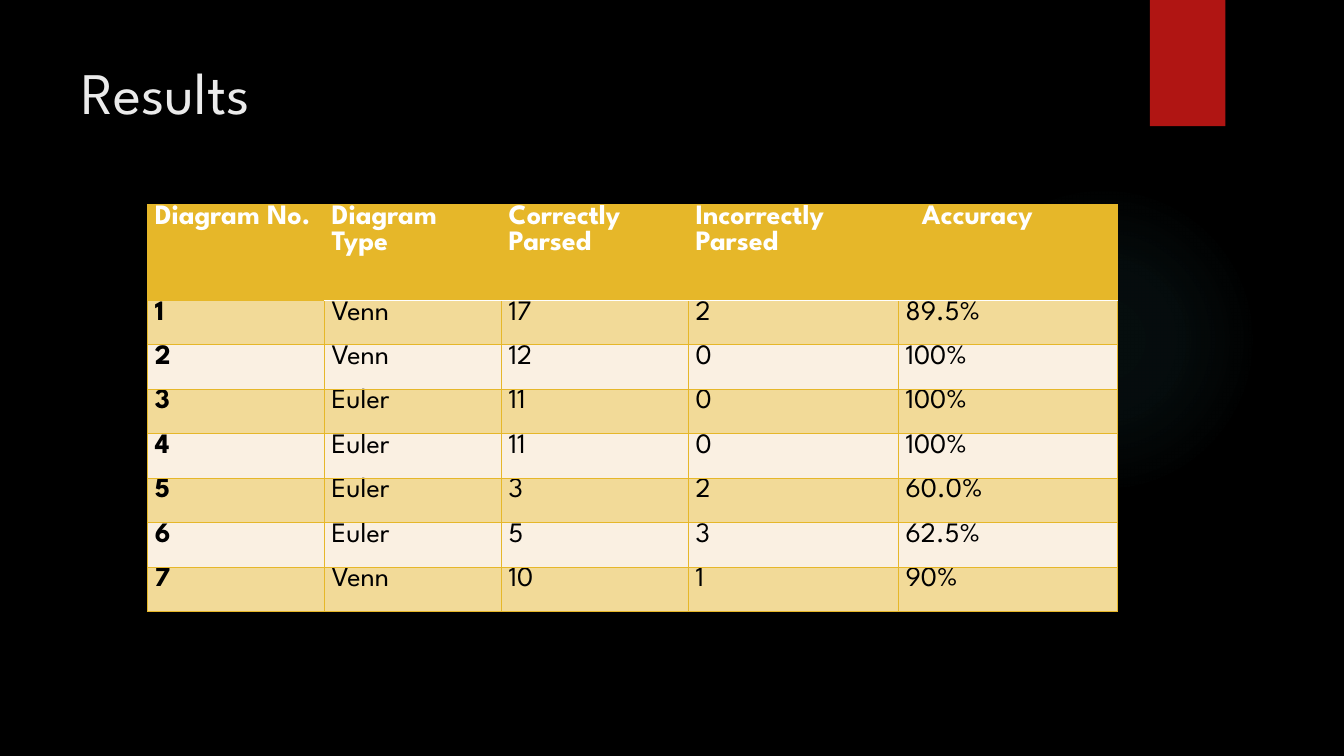
from dataclasses import dataclass

from lxml import etree
from pptx import Presentation
from pptx.dml.color import RGBColor
from pptx.enum.shapes import MSO_SHAPE
from pptx.enum.text import MSO_ANCHOR, PP_ALIGN
from pptx.oxml.ns import qn
from pptx.util import Cm, Pt

RECTANGLE, OVAL = MSO_SHAPE.RECTANGLE, MSO_SHAPE.OVAL
TOP = MSO_ANCHOR.TOP
JUSTIFY = PP_ALIGN.JUSTIFY

FONT = "League Spartan"
COLORS = {
    "background": "000000",
    "title": "EBEBEB",
    "tab": "B01513",
    "glow": "50B9C1",
    "gold": "E6B729",
    "band": "F2DA98",
    "plain": "FAF0E2",
    "white": "FFFFFF",
    "black": "000000",
}
GLOW_STOPS = ((0, 7), (36, 6), (69, 0))  # position and opacity in percent


@dataclass(frozen=True)
class Box:
    left: float
    top: float
    width: float
    height: float

    def lengths(self) -> tuple:
        return Cm(self.left), Cm(self.top), Cm(self.width), Cm(self.height)


@dataclass(frozen=True)
class DiagramResult:
    number: int
    kind: str
    correct: int
    incorrect: int
    accuracy: str

    def texts(self) -> list[str]:
        return [str(self.number), self.kind, str(self.correct),
                str(self.incorrect), self.accuracy]


@dataclass(frozen=True)
class CellStyle:
    fill: str
    text: str
    bold: bool
    top: str = "gold"
    bottom: str = "gold"


GLOW_BOX = Box(23.9, 4.65, 7.82, 7.82)
TAB_BOX = Box(28.98, 0, 1.9, 3.18)
TITLE_BOX = Box(1.8, 1.27, 26.14, 3.89)
TABLE_BOX = Box(3.71, 5.16, 24.46, 10.25)

COLUMN_WIDTHS = (4.46, 4.46, 4.71, 5.29, 5.54)
HEADER_HEIGHT, ROW_HEIGHT = 2.41, 1.12
HEADERS = ["Diagram No.", "Diagram Type", "Correctly Parsed",
           "Incorrectly Parsed", "Accuracy"]
RESULTS = (
    DiagramResult(1, "Venn", 17, 2, "89.5%"),
    DiagramResult(2, "Venn", 12, 0, "100%"),
    DiagramResult(3, "Euler", 11, 0, "100%"),
    DiagramResult(4, "Euler", 11, 0, "100%"),
    DiagramResult(5, "Euler", 3, 2, "60.0%"),
    DiagramResult(6, "Euler", 5, 3, "62.5%"),
    DiagramResult(7, "Venn", 10, 1, "90%"),
)


def color(name: str) -> RGBColor:
    return RGBColor.from_string(COLORS[name])


def add_solid_fill(parent, name: str) -> None:
    fill = etree.SubElement(parent, qn("a:solidFill"))
    etree.SubElement(fill, qn("a:srgbClr"), val=COLORS[name])


def format_text(paragraph, size: float, name: str, bold: bool = False) -> None:
    for run in paragraph.runs:
        run.font.name = FONT
        run.font.size = Pt(size)
        run.font.bold = bold
        run.font.color.rgb = color(name)


def add_plain_shape(slide, kind, box: Box, name: str):
    shape = slide.shapes.add_shape(kind, *box.lengths())
    shape.shadow.inherit = False
    shape.fill.solid()
    shape.fill.fore_color.rgb = color(name)
    shape.line.fill.background()
    return shape


def add_glow(slide) -> None:
    shape = add_plain_shape(slide, OVAL, GLOW_BOX, "glow")
    solid = shape._element.spPr.find(qn("a:solidFill"))
    gradient = etree.Element(qn("a:gradFill"), rotWithShape="1")
    stops = etree.SubElement(gradient, qn("a:gsLst"))
    for position, opacity in GLOW_STOPS:
        stop = etree.SubElement(stops, qn("a:gs"), pos=str(position * 1000))
        stop_color = etree.SubElement(stop, qn("a:srgbClr"), val=COLORS["glow"])
        etree.SubElement(stop_color, qn("a:alpha"), val=str(opacity * 1000))
    circle = etree.SubElement(gradient, qn("a:path"), path="circle")
    etree.SubElement(circle, qn("a:fillToRect"),
                     l="50000", t="50000", r="50000", b="50000")
    solid.getparent().replace(solid, gradient)


def add_title(slide, text: str) -> None:
    text_frame = slide.shapes.add_textbox(*TITLE_BOX.lengths()).text_frame
    text_frame.word_wrap = True
    text_frame.vertical_anchor = TOP
    text_frame.text = text
    paragraph = text_frame.paragraphs[0]
    paragraph.space_before = Pt(10)
    format_text(paragraph, 42, "title")


def set_borders(cell, style: CellStyle) -> None:
    properties = cell._tc.get_or_add_tcPr()
    sides = {"a:lnL": "gold", "a:lnR": "gold",
             "a:lnT": style.top, "a:lnB": style.bottom}
    for tag, name in sides.items():
        width = Pt(1.5 if name == "white" else 0.75)
        add_solid_fill(etree.SubElement(properties, qn(tag), w=str(width)), name)


def fill_cell(cell, text: str, style: CellStyle) -> None:
    set_borders(cell, style)
    cell.fill.solid()
    cell.fill.fore_color.rgb = color(style.fill)
    cell.margin_left = cell.margin_right = Cm(0.19)
    cell.margin_top = cell.margin_bottom = 0
    cell.vertical_anchor = TOP
    cell.text_frame.text = text
    paragraph = cell.text_frame.paragraphs[0]
    paragraph.alignment = JUSTIFY
    format_text(paragraph, 20, style.text, style.bold)


def cell_style(row: int, column: int) -> CellStyle:
    # The white rule under the header starts at the second column
    rule = "white" if column > 0 else "gold"
    if row == 0:
        return CellStyle("gold", "white", True, bottom=rule)
    return CellStyle("band" if row % 2 else "plain", "black", column == 0,
                     top=rule if row == 1 else "gold")


def add_results_table(slide) -> None:
    rows = [HEADERS] + [result.texts() for result in RESULTS]
    table = slide.shapes.add_table(len(rows), len(HEADERS),
                                   *TABLE_BOX.lengths()).table
    table.horz_banding = False
    for column, width in zip(table.columns, COLUMN_WIDTHS):
        column.width = Cm(width)
    for row_index, texts in enumerate(rows):
        height = ROW_HEIGHT if row_index else HEADER_HEIGHT
        table.rows[row_index].height = Cm(height)
        for column_index, text in enumerate(texts):
            fill_cell(table.cell(row_index, column_index), text,
                      cell_style(row_index, column_index))

    # First-line indent of the last heading
    accuracy = table.cell(0, len(HEADERS) - 1).text_frame.paragraphs[0]
    accuracy._p.get_or_add_pPr().set("indent", str(Cm(0.41)))


def main() -> None:
    presentation = Presentation()
    presentation.slide_width = Cm(33.87)
    presentation.slide_height = Cm(19.05)
    slide = presentation.slides.add_slide(presentation.slide_layouts[6])

    # Backdrop
    slide.background.fill.solid()
    slide.background.fill.fore_color.rgb = color("background")
    add_glow(slide)
    add_plain_shape(slide, RECTANGLE, TAB_BOX, "tab")

    # Content
    add_title(slide, "Results")
    add_results_table(slide)
    presentation.save("out.pptx")


if __name__ == "__main__":
    main()
